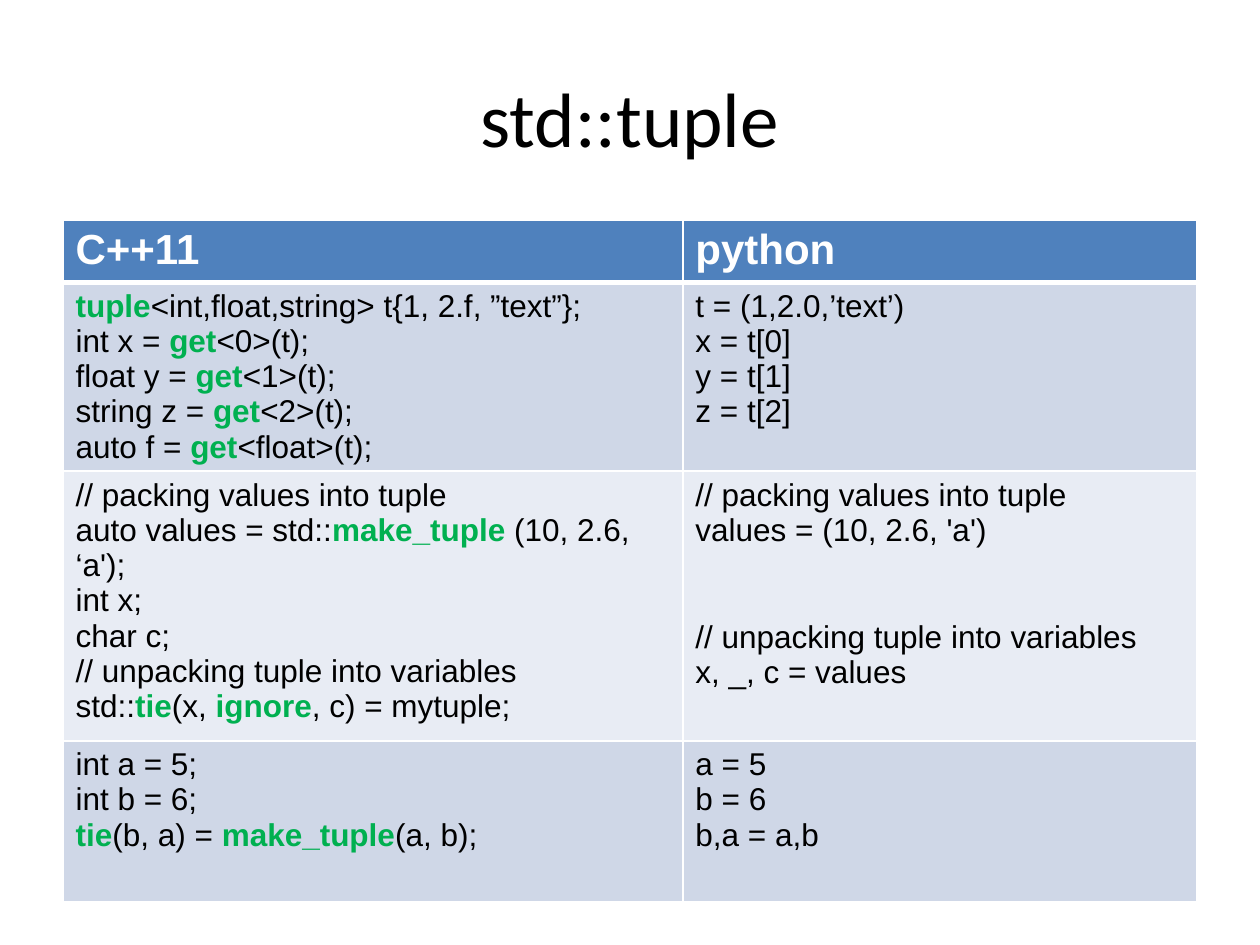
from lxml.etree import SubElement
from pptx import Presentation
from pptx.dml.color import RGBColor
from pptx.enum.text import MSO_ANCHOR, PP_ALIGN
from pptx.oxml.ns import qn
from pptx.util import Inches, Pt

BLACK = RGBColor(0x00, 0x00, 0x00)
WHITE = RGBColor(0xFF, 0xFF, 0xFF)
KEYWORD_GREEN = RGBColor(0x00, 0xB0, 0x50)
HEADER_BLUE = RGBColor(0x4F, 0x81, 0xBD)
BAND_DARK = RGBColor(0xCF, 0xD7, 0xE7)
BAND_LIGHT = RGBColor(0xE8, 0xEC, 0xF4)

COLUMN_WIDTHS = [4.92, 4.08]
ROW_HEIGHTS = [0.49, 1.26, 2.14, 1.28]
ROW_FILLS = [HEADER_BLUE, BAND_DARK, BAND_LIGHT, BAND_DARK]
TWO_LINES = Pt(41)

# Words between asterisks are highlighted; each cell is a list of lines.
COMPARISON = [
    [["C++11"], ["python"]],
    [
        [
            "*tuple*<int,float,string> t{1, 2.f, ”text”};",
            "int x = *get*<0>(t);",
            "float y = *get*<1>(t);",
            "string z = *get*<2>(t);",
            "auto f = *get*<float>(t);",
        ],
        ["t = (1,2.0,’text’)", "x = t[0]", "y = t[1]", "z = t[2]"],
    ],
    [
        [
            "// packing values into tuple",
            "auto values = std::*make_tuple *(10, 2.6, ‘a');",
            "int x;",
            "char c;",
            "// unpacking tuple into variables",
            "std::*tie*(x, *ignore*, c) = mytuple;",
        ],
        [
            "// packing values into tuple",
            "values = (10, 2.6, 'a')",
            "// unpacking tuple into variables",
            "x, _, c = values",
        ],
    ],
    [
        ["int a = 5;", "int b = 6;", "*tie*(b, a) = *make_tuple*(a, b);"],
        ["a = 5", "b = 6", "b,a = a,b"],
    ],
]


def add_borders(cell, bottom_width):
    """Draw white cell borders, 1 pt except for the bottom one."""
    properties = cell._tc.get_or_add_tcPr()
    for side, width in (("L", 1), ("R", 1), ("T", 1), ("B", bottom_width)):
        line = SubElement(properties, qn(f"a:ln{side}"), w=str(Pt(width)))
        SubElement(SubElement(line, qn("a:solidFill")), qn("a:srgbClr"), val=str(WHITE))


def add_code_line(paragraph, code, is_header):
    for index, part in enumerate(code.split("*")):
        if not part:
            continue
        is_keyword = index % 2 == 1
        run = paragraph.add_run()
        run.text = part
        run.font.name = "Arial"
        run.font.size = Pt(24 if is_header else 18)
        run.font.bold = is_header or is_keyword
        run.font.color.rgb = WHITE if is_header else KEYWORD_GREEN if is_keyword else BLACK


prs = Presentation()
prs.slide_width, prs.slide_height = Inches(10), Inches(7.5)
slide = prs.slides.add_slide(prs.slide_layouts[5])

title = slide.shapes.title
title.left, title.top = Inches(0.5), Inches(0.3)
title.width, title.height = Inches(9), Inches(1.25)
title.text_frame.vertical_anchor = MSO_ANCHOR.MIDDLE
heading = title.text_frame.paragraphs[0]
heading.alignment = PP_ALIGN.CENTER
heading_run = heading.add_run()
heading_run.text = "std::tuple"
heading_run.font.name = "Calibri"
heading_run.font.size = Pt(44)
heading_run.font.color.rgb = BLACK

table = slide.shapes.add_table(
    len(ROW_HEIGHTS), len(COLUMN_WIDTHS), Inches(0.5), Inches(1.75),
    Inches(sum(COLUMN_WIDTHS)), Inches(sum(ROW_HEIGHTS)),
).table
for column, width in zip(table.columns, COLUMN_WIDTHS):
    column.width = Inches(width)
for row, height in zip(table.rows, ROW_HEIGHTS):
    row.height = Inches(height)

for row_index, (languages, row_fill) in enumerate(zip(COMPARISON, ROW_FILLS)):
    is_header = row_index == 0
    for column_index, code_lines in enumerate(languages):
        cell = table.cell(row_index, column_index)
        add_borders(cell, 3 if is_header else 1)
        cell.fill.solid()
        cell.fill.fore_color.rgb = row_fill
        frame = cell.text_frame
        for line_index, code in enumerate(code_lines):
            paragraph = frame.add_paragraph() if line_index else frame.paragraphs[0]
            add_code_line(paragraph, code, is_header)

# Python's unpacking step sits level with the C++ one.
table.cell(2, 1).text_frame.paragraphs[2].space_before = TWO_LINES

prs.save("out.pptx")
